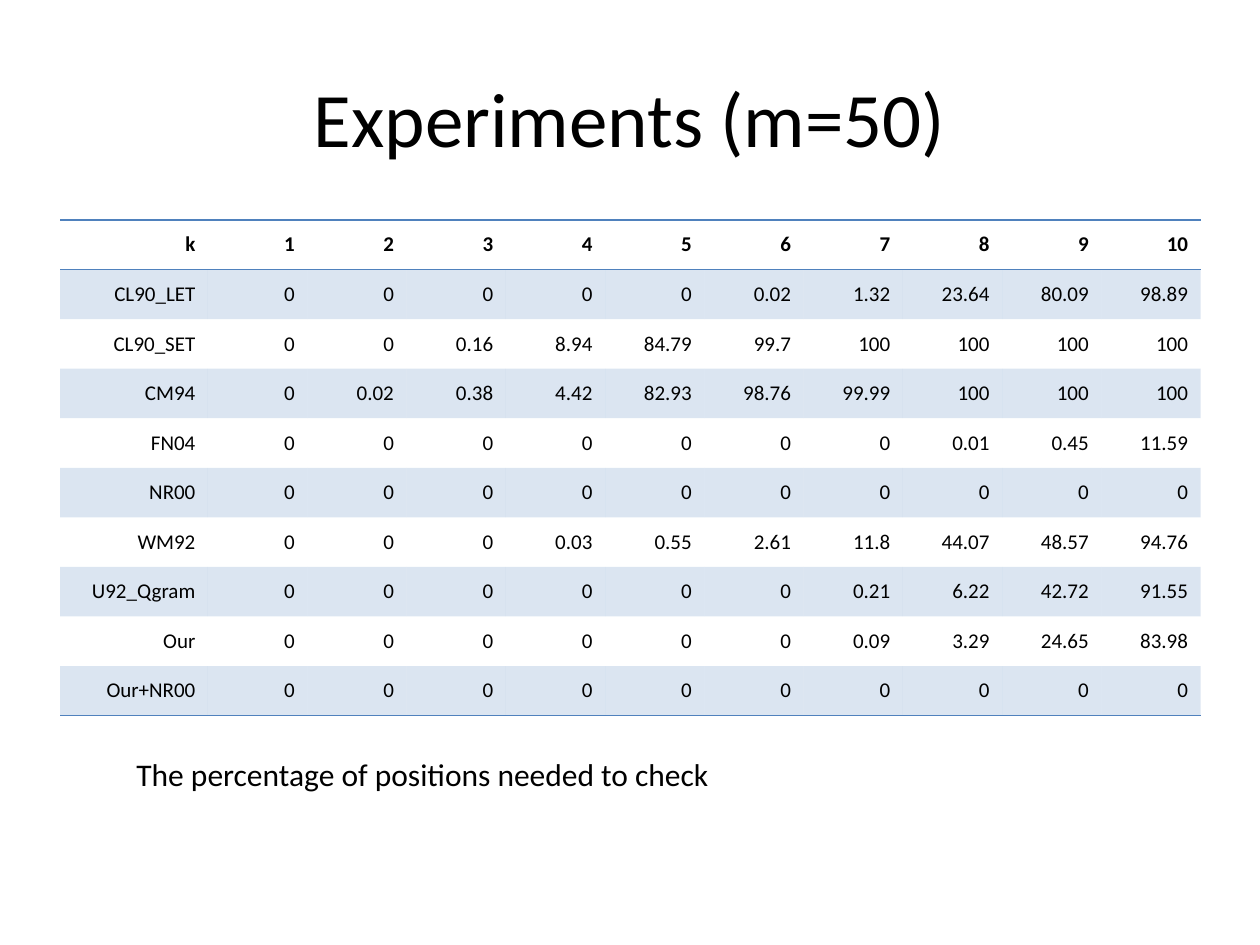
from dataclasses import dataclass

from lxml import etree
from pptx import Presentation
from pptx import util as u
from pptx.dml.color import RGBColor
from pptx.enum import text
from pptx.oxml.ns import qn


@dataclass(frozen=True)
class Theme:
    font: str = "Calibri"
    ink: str = "000000"
    accent: str = "4F81BD"
    band_alpha: int = 20
    rule: float = 1
    title: int = 44
    caption: int = 18
    cell: int = 12


THEME = Theme()
PX_PER_INCH = 126
NO_STYLE = "{2D5ABB26-0587-4C30-8999-92F81FD0307C}"

RESULTS = """
k 1 2 3 4 5 6 7 8 9 10
CL90_LET 0 0 0 0 0 0.02 1.32 23.64 80.09 98.89
CL90_SET 0 0 0.16 8.94 84.79 99.7 100 100 100 100
CM94 0 0.02 0.38 4.42 82.93 98.76 99.99 100 100 100
FN04 0 0 0 0 0 0 0 0.01 0.45 11.59
NR00 0 0 0 0 0 0 0 0 0 0
WM92 0 0 0 0.03 0.55 2.61 11.8 44.07 48.57 94.76
U92_Qgram 0 0 0 0 0 0 0.21 6.22 42.72 91.55
Our 0 0 0 0 0 0 0.09 3.29 24.65 83.98
Our+NR00 0 0 0 0 0 0 0 0 0 0
"""


def px(n):
    return u.Emu(round(n * u.Inches(1) / PX_PER_INCH))


def write(tf, words, size, align, bold=False):
    p = tf.paragraphs[0]
    p.text = words
    p.alignment = align
    f = p.font
    f.name, f.size, f.bold = THEME.font, u.Pt(size), bold
    f.color.rgb = RGBColor.from_string(THEME.ink)


def add_title(s, words, x, y, w, h):
    sp = s.shapes.title
    sp.left, sp.top, sp.width, sp.height = px(x), px(y), px(w), px(h)
    sp.text_frame.vertical_anchor = text.MSO_ANCHOR.MIDDLE
    write(sp.text_frame, words, THEME.title, text.PP_ALIGN.CENTER)


def add_caption(s, words, x, y, w, h):
    tf = s.shapes.add_textbox(px(x), px(y), px(w), px(h)).text_frame
    tf.word_wrap = True
    tf.auto_size = text.MSO_AUTO_SIZE.SHAPE_TO_FIT_TEXT
    write(tf, words, THEME.caption, text.PP_ALIGN.LEFT)


def fill_band(cell):
    cell.fill.solid()
    cell.fill.fore_color.rgb = RGBColor.from_string(THEME.accent)
    color = cell._tc.tcPr.find(".//" + qn("a:srgbClr"))
    etree.SubElement(color, qn("a:alpha"), val=str(THEME.band_alpha * 1000))


def add_rules(cell, sides):
    for i, side in enumerate(sides):
        ln = etree.Element(qn(f"a:ln{side}"), w=str(u.Pt(THEME.rule)))
        fill = etree.SubElement(ln, qn("a:solidFill"))
        etree.SubElement(fill, qn("a:srgbClr"), val=THEME.accent)
        cell._tc.get_or_add_tcPr().insert(i, ln)


def add_results(s, rows, x, y, w, h, label_w):
    n_rows, n_cols = len(rows), len(rows[0])
    tb = s.shapes.add_table(n_rows, n_cols, px(x), px(y), px(w), px(h)).table
    tb._tbl.tblPr.find(qn("a:tableStyleId")).text = NO_STYLE
    for c, col in enumerate(tb.columns):
        col.width = px((w - label_w) / (n_cols - 1)) if c else px(label_w)
    for r, values in enumerate(rows):
        tb.rows[r].height = px(h / n_rows)
        sides = {0: "TB", n_rows - 1: "B"}.get(r, "")
        for c, value in enumerate(values):
            cell = tb.cell(r, c)
            cell.vertical_anchor = text.MSO_ANCHOR.MIDDLE
            write(cell.text_frame, value, THEME.cell, text.PP_ALIGN.RIGHT, r == 0)
            if r % 2:
                fill_band(cell)
            else:
                cell.fill.background()
            add_rules(cell, sides)


def main():
    prs = Presentation()
    prs.slide_width, prs.slide_height = px(1260), px(945)
    s = prs.slides.add_slide(prs.slide_layouts[5])
    add_title(s, "Experiments (m=50)", 63, 38, 1134, 158)
    rows = [line.split() for line in RESULTS.strip().splitlines()]
    add_results(s, rows, 60, 220, 1141, 496, 148)
    add_caption(s, "The percentage of positions needed to check", 124, 749, 655, 51)
    prs.save("out.pptx")


if __name__ == "__main__":
    main()
